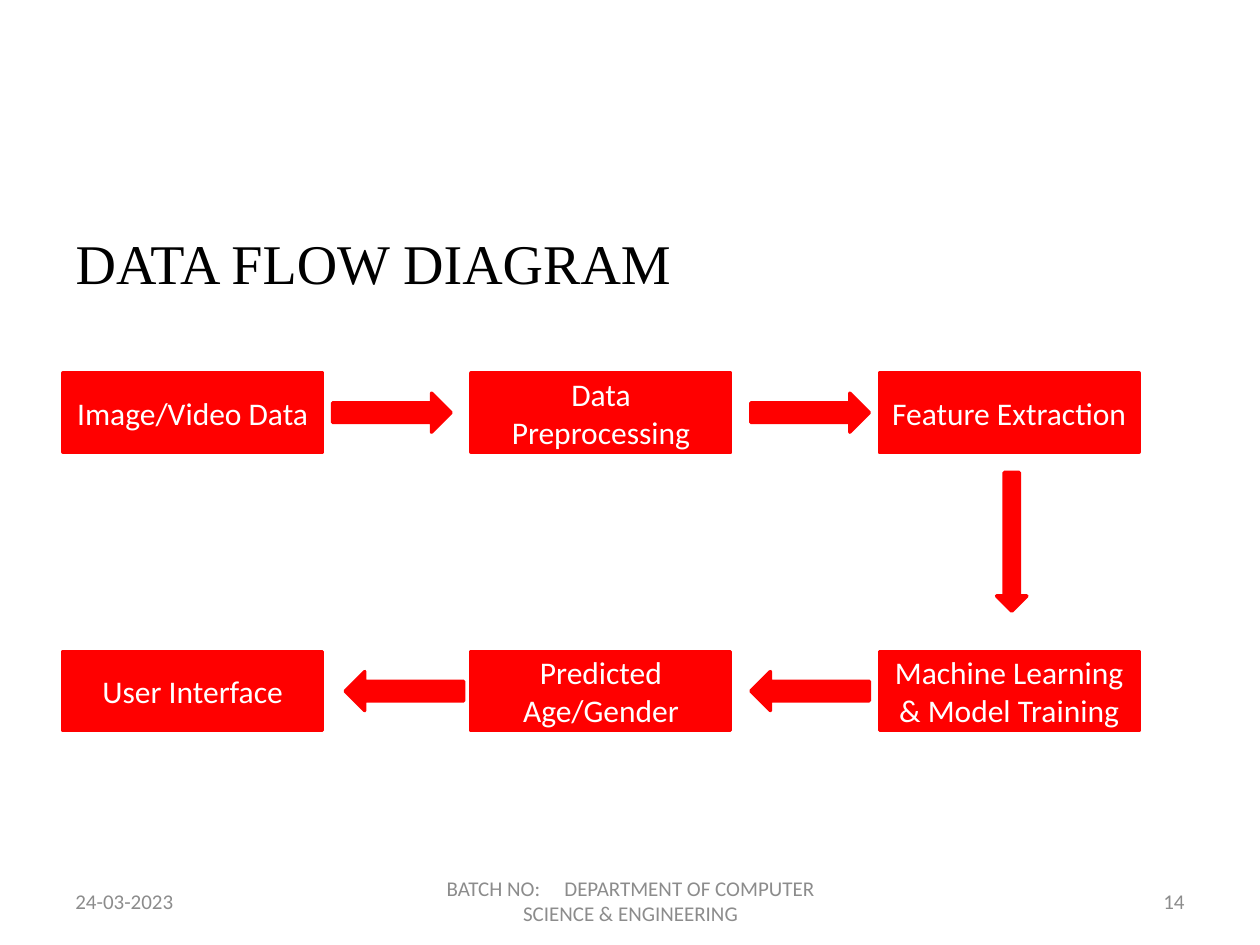
from pptx import Presentation
from pptx import util as u
from pptx.dml.color import RGBColor
from pptx.enum import shapes, text

THEME = {
    "heading_font": "Times New Roman", "body_font": "Calibri",
    "heading_size": 32, "step_size": 18, "footer_size": 12,
    "black": RGBColor(0, 0, 0), "white": RGBColor(255, 255, 255),
    "red": RGBColor(255, 0, 0), "grey": RGBColor(0x8C, 0x8C, 0x8C),
}
ALIGN, ANCHOR, SHAPE = text.PP_ALIGN, text.MSO_ANCHOR, shapes.MSO_SHAPE


def write(holder, *parts, size, color, font=THEME["body_font"],
          align=ALIGN.CENTER, anchor=ANCHOR.MIDDLE, before=0, gap=0):
    """Fill one paragraph with runs; gap widens a lone space, in points."""
    frame = holder.text_frame
    frame.word_wrap = True
    frame.auto_size = text.MSO_AUTO_SIZE.NONE
    frame.vertical_anchor = anchor
    paragraph = frame.paragraphs[0]
    paragraph.alignment = align
    paragraph.space_before = u.Pt(before)
    for part in parts:
        run = paragraph.add_run()
        run.text = part
        run.font.name, run.font.size = font, u.Pt(size)
        run.font.color.rgb = color
        if part == " ":
            run.font._element.set("spc", str(gap * 100))


def add_red(kind, left, top, width, height):
    shape = slide.shapes.add_shape(
        kind, *(u.Inches(n) for n in (left, top, width, height)))
    shape.shadow.inherit = False
    shape.fill.solid()
    shape.fill.fore_color.rgb = THEME["red"]
    shape.line.color.rgb = THEME["red"]
    shape.line.width = u.Pt(2)
    return shape


deck = Presentation()
deck.slide_width, deck.slide_height = u.Inches(10), u.Inches(7.5)
slide = deck.slides.add_slide(deck.slide_layouts[5])

# Heading
heading = slide.shapes.title
heading.left, heading.top = u.Inches(0.5), u.Inches(1.76)
heading.width, heading.height = u.Inches(9), u.Inches(0.75)
write(heading, "DATA FLOW DIAGRAM", size=THEME["heading_size"],
      color=THEME["black"], font=THEME["heading_font"],
      align=ALIGN.LEFT, anchor=ANCHOR.TOP, before=4)

# Steps on a grid of three columns and two rows
MARGIN, PITCH = 0.5, 3.24
STEP_W, STEP_H = 2.06, 0.63
ROWS = (2.96, 5.17)
steps = (
    ("Image/Video Data", "Data Preprocessing", "Feature Extraction"),
    ("User Interface", "Predicted Age/Gender", "Machine Learning & Model Training"),
)
for top, labels in zip(ROWS, steps):
    for column, label in enumerate(labels):
        step = add_red(SHAPE.RECTANGLE, MARGIN + column * PITCH, top, STEP_W, STEP_H)
        write(step, label, size=THEME["step_size"], color=THEME["white"])

# Arrows: right along the first row, down, then left along the second
ARROW_W, ARROW_H = 0.94, 0.31
flows = ((SHAPE.RIGHT_ARROW, (2.64, 5.96)), (SHAPE.LEFT_ARROW, (2.74, 5.96)))
for top, (direction, lefts) in zip(ROWS, flows):
    for left in lefts:
        add_red(direction, left, top + (STEP_H - ARROW_H) / 2, ARROW_W, ARROW_H)
add_red(SHAPE.DOWN_ARROW, 7.91, 3.75, 0.24, 1.1)

# Footer
footer = (
    (0.5, 2.33, ALIGN.LEFT, ["24-03-2023"]),
    (3.42, 3.17, ALIGN.CENTER,
     ["BATCH NO:", " ", "DEPARTMENT OF COMPUTER SCIENCE & ENGINEERING"]),
    (7.17, 2.33, ALIGN.RIGHT, ["14"]),
)
for left, width, align, parts in footer:
    note = slide.shapes.add_textbox(
        u.Inches(left), u.Inches(6.95), u.Inches(width), u.Inches(0.4))
    write(note, *parts, size=THEME["footer_size"], color=THEME["grey"],
          align=align, gap=11)

deck.save("out.pptx")
